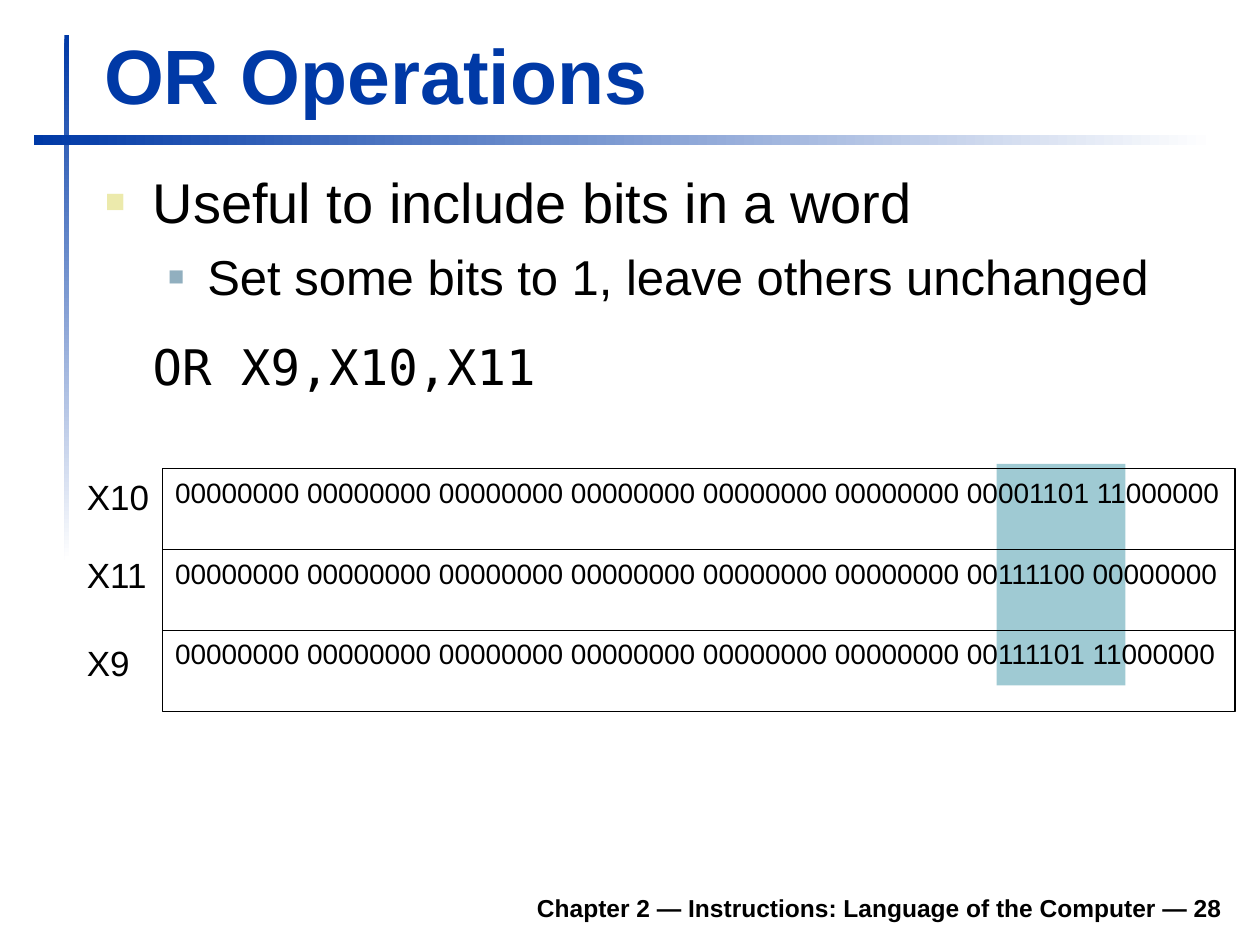
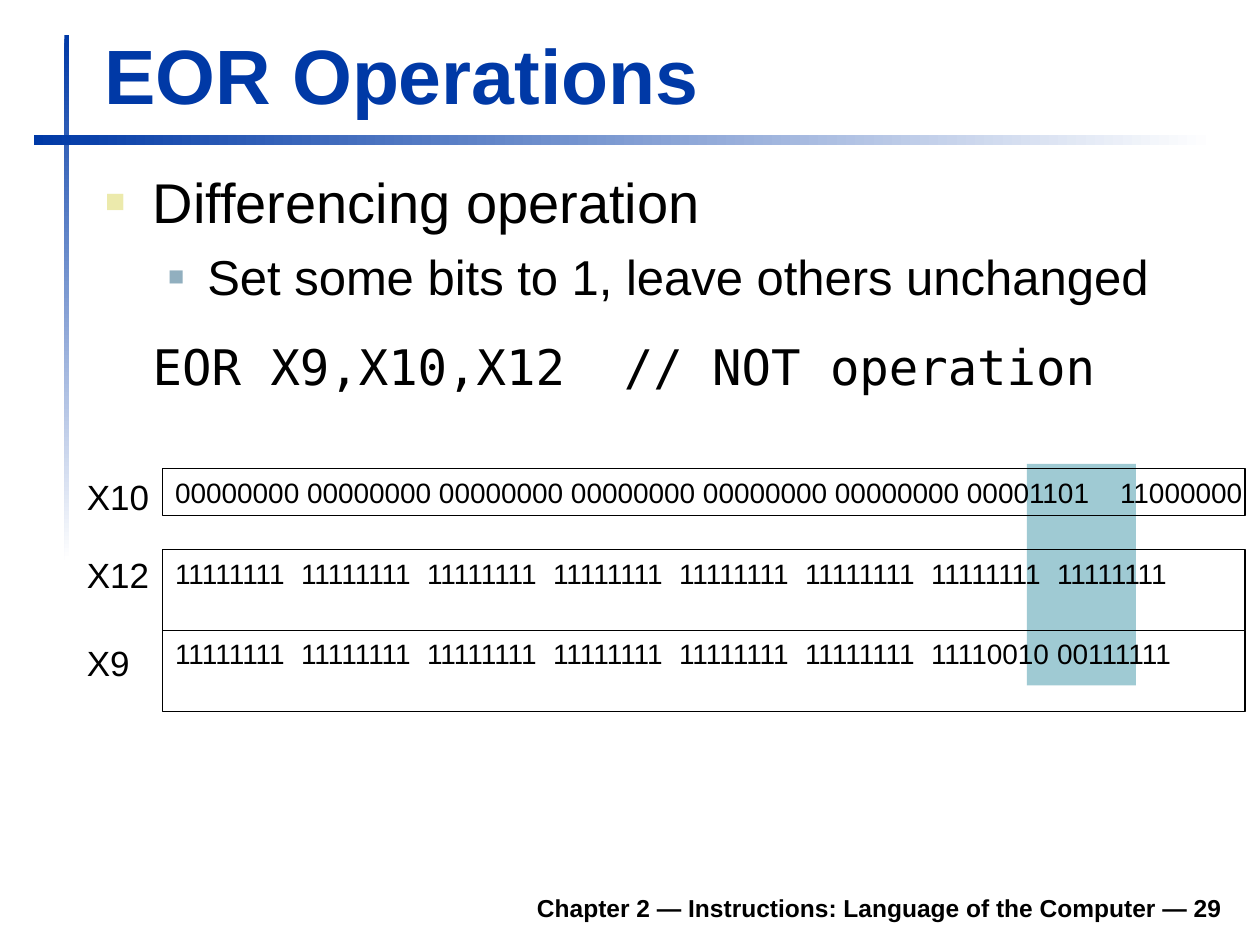
from lxml import etree
from pptx import Presentation
from pptx.dml.color import RGBColor
from pptx.enum.shapes import MSO_SHAPE
from pptx.enum.text import MSO_ANCHOR, MSO_AUTO_SIZE, PP_ALIGN
from pptx.oxml.ns import qn
from pptx.util import Cm, Pt

RECT = MSO_SHAPE.RECTANGLE
TOP, BOTTOM = MSO_ANCHOR.TOP, MSO_ANCHOR.BOTTOM
LEFT, RIGHT = PP_ALIGN.LEFT, PP_ALIGN.RIGHT
FIXED = MSO_AUTO_SIZE.NONE

BLUE, BLACK, WHITE = "0039A6", "000000", "FFFFFF"
TEAL, CREAM, STEEL = "9FCAD3", "ECEAAC", "91AFBF"
SANS, MONO = "Arial", "DejaVu Sans Mono"

ROW_H = 1.63
LABEL_TOPS = (0, 1.57, 3.35)
# Tab stops for the bytes of a register
STOPS = [2.84] + [round(5.36 + 2.68 * i, 2) for i in range(6)]


def tint(code):
    return RGBColor.from_string(code)


def add_node(parent, tag, **attrs):
    return etree.SubElement(parent, qn(tag), attrs)


def set_frame(shape, inset=(0.25, 0.13, 0.25, 0.13), anchor=TOP):
    frame = shape.text_frame
    frame.auto_size = FIXED
    frame.word_wrap = True
    frame.vertical_anchor = anchor
    (frame.margin_left, frame.margin_top,
     frame.margin_right, frame.margin_bottom) = map(Cm, inset)
    return frame


def write(para, text, size, color=BLACK, face=SANS, bold=False, align=LEFT,
          before=0, after=0, margin=0, hang=0, bullet=None, stops=()):
    para.alignment = align
    para.space_before, para.space_after = Pt(before), Pt(after)
    para.line_spacing = 1.0
    props = para._p.get_or_add_pPr()
    props.set("marL", str(Cm(margin)))
    props.set("indent", str(Cm(-hang)))
    if bullet:
        code, scale = bullet
        add_node(add_node(props, "a:buClr"), "a:srgbClr", val=code)
        add_node(props, "a:buSzPct", val=str(scale * 1000))
        add_node(props, "a:buFont", typeface=SANS)
        add_node(props, "a:buChar", char="■")
    else:
        add_node(props, "a:buNone")
    if stops:
        tabs = add_node(props, "a:tabLst")
        for stop in stops:
            add_node(tabs, "a:tab", pos=str(Cm(stop)), algn="l")
    run = para.add_run()
    run.text = text
    run.font.size, run.font.name, run.font.bold = Pt(size), face, bold
    run.font.color.rgb = tint(color)


def add_text(slide, box, text, size, inset=(0.25, 0.13, 0, 0.13),
             anchor=TOP, **style):
    shape = slide.shapes.add_textbox(*map(Cm, box))
    write(set_frame(shape, inset, anchor).paragraphs[0], text, size, **style)


def add_rect(slide, box, fill=None, line=None):
    shape = slide.shapes.add_shape(RECT, *map(Cm, box))
    shape.shadow.inherit = False
    if fill:
        shape.fill.solid()
        shape.fill.fore_color.rgb = tint(fill)
    else:
        shape.fill.background()
    if line:
        shape.line.color.rgb = tint(line)
        shape.line.width = Pt(0.75)
    else:
        shape.line.fill.background()
    return shape


def add_band(slide, box, angle):
    fill = add_rect(slide, box, BLUE).fill
    fill.gradient()
    fill.gradient_angle = angle
    for stop, code in zip(fill.gradient_stops, (BLUE, WHITE)):
        stop.color.rgb = tint(code)


def add_base(deck, title, page):
    """Slide with bands, title and footer."""
    slide = deck.slides.add_slide(deck.slide_layouts[5])
    add_band(slide, (1.3, 0.71, 0.1, 10.59), 270)
    add_band(slide, (0.69, 2.72, 23.8, 0.2), 0)
    head = slide.shapes.title
    head.left, head.top, head.width, head.height = map(
        Cm, (1.9, 0.41, 22.94, 2.11))
    frame = set_frame(head, (0.2, 0.1, 0.2, 0.1), BOTTOM)
    write(frame.paragraphs[0], title, 44, color=BLUE, bold=True)
    add_text(slide, (4.7, 17.73, 20.19, 0.99),
             f"Chapter 2 — Instructions: Language of the Computer — {page}",
             14, inset=(0.25, 0.13, 0.25, 0.13), anchor=BOTTOM,
             bold=True, align=RIGHT)
    return slide


def add_body(slide, box, point, detail, code):
    """Two bullet levels and a line of code."""
    shape = slide.shapes.add_textbox(*map(Cm, box))
    frame = set_frame(shape, (0.22, 0.25, 0.2, 0.1))
    write(frame.paragraphs[0], point, 32, margin=0.96, hang=0.96,
          bullet=(CREAM, 60))
    write(frame.add_paragraph(), detail, 28, before=7, margin=2.06, hang=0.79,
          bullet=(STEEL, 55))
    write(frame.add_paragraph(), code, 28, face=MONO, before=17.5, after=10.5,
          margin=0.96)


def add_bits(slide, box, rows, mark, first):
    """Labelled registers over a strip that marks the changed bits."""
    left, top, width = box
    start, span = mark
    add_rect(slide, (left + start, top - 0.1, span, 4.47), TEAL)
    for i, (name, bits) in enumerate(rows):
        high = first if i == 0 else ROW_H
        cell = add_rect(slide, (left, top + i * ROW_H, width, high), line=BLACK)
        frame = set_frame(cell, (0.25, 0.13, 0, 0.13))
        write(frame.paragraphs[0], bits, 16, stops=STOPS)
        add_text(slide, (left - 1.78, top + LABEL_TOPS[i], 1.75, 1.12),
                 name, 20)


def main():
    deck = Presentation()
    deck.slide_width, deck.slide_height = Cm(25.4), Cm(19.05)
    body = (1.9, 3.12, 22.96, 5.77)
    detail = "Set some bits to 1, leave others unchanged"
    zeros = " ".join(["0" * 8] * 6)
    ones = "\t".join(["1" * 8] * 6)

    # OR
    slide = add_base(deck, "OR Operations", 28)
    add_body(slide, body, "Useful to include bits in a word", detail,
             "OR X9,X10,X11")
    add_bits(slide, (3.28, 9.45, 21.62),
             [("X10", f"{zeros} 00001101 11000000"),
              ("X11", f"{zeros} 00111100 00000000"),
              ("X9", f"{zeros} 00111101 11000000")],
             mark=(16.81, 2.6), first=ROW_H)

    # EOR
    slide = add_base(deck, "EOR Operations", 29)
    add_body(slide, body, "Differencing operation", detail,
             "EOR X9,X10,X12  // NOT operation")
    add_bits(slide, (3.28, 9.45, 21.82),
             [("X10", f"{zeros} 00001101\t11000000"),
              ("X12", f"{ones}\t11111111\t11111111"),
              ("X9", f"{ones}\t11110010\t00111111")],
             mark=(17.42, 2.2), first=0.94)

    deck.save("out.pptx")


if __name__ == "__main__":
    main()
